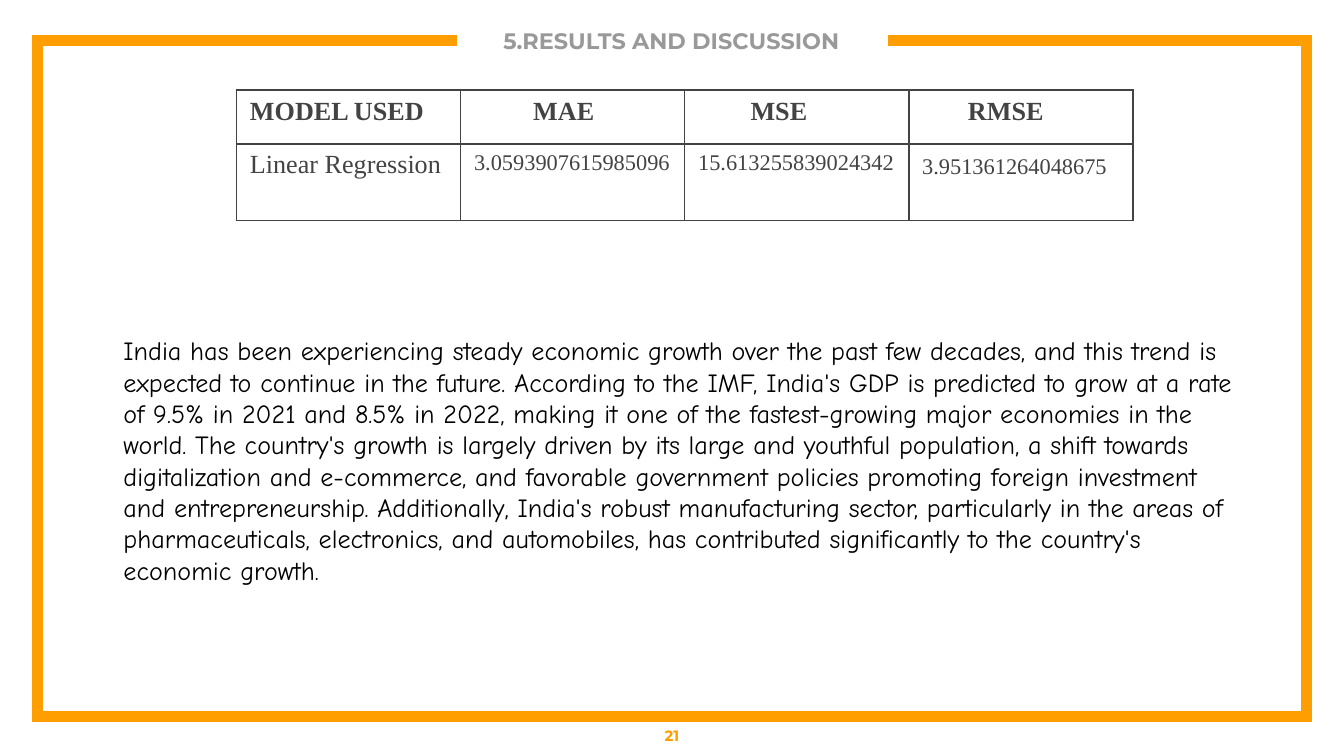
from dataclasses import dataclass

from lxml.etree import SubElement
from pptx import Presentation
from pptx.dml.color import RGBColor
from pptx.enum.text import MSO_ANCHOR, PP_ALIGN
from pptx.oxml.ns import qn
from pptx.util import Inches, Pt


@dataclass(frozen=True)
class Theme:
    orange: str = "FF9E00"
    grey: str = "999999"
    dark: str = "434343"
    black: str = "000000"
    white: str = "FFFFFF"
    heading_font: str = "Montserrat"
    body_font: str = "Comic Neue"
    table_font: str = "Times New Roman"
    number_size: int = 8
    small_size: int = 12
    body_size: int = 14
    frame_width: int = 6
    border_width: int = 1


T = Theme()


@dataclass(frozen=True)
class Style:
    font: str
    size: int
    color: str
    bold: bool = False


@dataclass(frozen=True)
class TextBox:
    text: str
    left: float
    top: float
    width: float
    height: float
    style: Style
    inset: tuple[float, float] = (0.1, 0.05)
    align: PP_ALIGN = PP_ALIGN.LEFT
    anchor: MSO_ANCHOR = MSO_ANCHOR.TOP


@dataclass(frozen=True)
class TableCell:
    text: str
    style: Style
    indent: float = 0.1
    top: float = 0.05


HEADER = Style(T.table_font, T.body_size, T.dark, True)
LABEL = Style(T.table_font, T.body_size, T.dark)
VALUE = Style(T.table_font, T.small_size, T.dark)

ROWS = [
    [
        TableCell("MODEL USED", HEADER),
        TableCell("MAE", HEADER, indent=0.54),
        TableCell("MSE", HEADER, indent=0.49),
        TableCell("RMSE", HEADER, indent=0.44),
    ],
    [
        TableCell("Linear Regression", LABEL),
        TableCell("3.0593907615985096", VALUE),
        TableCell("15.613255839024342", VALUE),
        TableCell("3.951361264048675", VALUE, top=0.08),
    ],
]
ROW_HEIGHTS = [0.4, 0.57]

TEXT_BOXES = [
    TextBox("21", 0, 5.32, 10, 0.3,
            Style(T.heading_font, T.number_size, T.orange, True),
            (0.1, 0.1), PP_ALIGN.CENTER, MSO_ANCHOR.MIDDLE),
    TextBox("5.RESULTS AND DISCUSSION", 3.54, 0.11, 2.91, 0.39,
            Style(T.heading_font, T.small_size, T.grey, True),
            (0, 0), PP_ALIGN.CENTER, MSO_ANCHOR.MIDDLE),
    TextBox(
        "India has been experiencing steady economic growth over the past few "
        "decades, and this trend is expected to continue in the future. "
        "According to the IMF, India's GDP is predicted to grow at a rate of "
        "9.5% in 2021 and 8.5% in 2022, making it one of the fastest-growing "
        "major economies in the world. The country's growth is largely driven "
        "by its large and youthful population, a shift towards digitalization "
        "and e-commerce, and favorable government policies promoting foreign "
        "investment and entrepreneurship. Additionally, India's robust "
        "manufacturing sector, particularly in the areas of pharmaceuticals, "
        "electronics, and automobiles, has contributed significantly to the "
        "country's economic growth.",
        0.82, 2.44, 8.55, 2.48, Style(T.body_font, T.body_size, T.black)),
]


def add_run(p, text: str, style: Style) -> None:
    r = p.add_run()
    r.text = text
    r.font.name = style.font
    r.font.size = Pt(style.size)
    r.font.bold = style.bold
    r.font.color.rgb = RGBColor.from_string(style.color)


def add_text(s, box: TextBox) -> None:
    sp = s.shapes.add_textbox(Inches(box.left), Inches(box.top),
                              Inches(box.width), Inches(box.height))
    tf = sp.text_frame
    tf.word_wrap = True
    tf.vertical_anchor = box.anchor
    tf.margin_left = tf.margin_right = Inches(box.inset[0])
    tf.margin_top = tf.margin_bottom = Inches(box.inset[1])
    p = tf.paragraphs[0]
    p.alignment = box.align
    add_run(p, box.text, box.style)


def add_frame(s) -> None:
    """Draw the border, open at the top where the title sits."""
    left, top, right, bottom = 0.28, 0.3, 9.72, 5.33
    points = [(left, top), (left, bottom), (right, bottom), (right, top), (6.61, top)]
    builder = s.shapes.build_freeform(Inches(3.4), Inches(top))
    builder.add_line_segments([(Inches(x), Inches(y)) for x, y in points], close=False)
    sp = builder.convert_to_shape()
    sp.shadow.inherit = False
    sp.fill.background()
    sp.line.width = Pt(T.frame_width)
    sp.line.color.rgb = RGBColor.from_string(T.orange)
    SubElement(sp.line._get_or_add_ln(), qn("a:miter"), lim="800000")


def set_borders(cell) -> None:
    tc_pr = cell._tc.get_or_add_tcPr()
    for side in ("lnL", "lnR", "lnT", "lnB"):
        ln = SubElement(tc_pr, qn(f"a:{side}"), w=str(Pt(T.border_width)))
        fill = SubElement(ln, qn("a:solidFill"))
        SubElement(fill, qn("a:srgbClr"), val=T.dark)


def add_results_table(s, rows: list[list[TableCell]]) -> None:
    table = s.shapes.add_table(len(rows), len(rows[0]), Inches(1.76), Inches(0.67),
                               Inches(6.67), Inches(sum(ROW_HEIGHTS))).table
    table.first_row = table.horz_banding = False
    for i, (row, height) in enumerate(zip(rows, ROW_HEIGHTS)):
        table.rows[i].height = Inches(height)
        for j, item in enumerate(row):
            cell = table.cell(i, j)
            cell.margin_left = Inches(item.indent)
            cell.margin_right = Inches(0.05)
            cell.margin_top = Inches(item.top)
            set_borders(cell)
            cell.fill.solid()
            cell.fill.fore_color.rgb = RGBColor.from_string(T.white)
            add_run(cell.text_frame.paragraphs[0], item.text, item.style)


def main() -> None:
    # Widescreen 16:9 page
    prs = Presentation()
    prs.slide_width = Inches(10)
    prs.slide_height = prs.slide_width * 9 // 16
    s = prs.slides.add_slide(prs.slide_layouts[6])

    # Frame, page number, title and body text
    add_frame(s)
    for box in TEXT_BOXES:
        add_text(s, box)

    # Model results
    add_results_table(s, ROWS)

    prs.save("out.pptx")


if __name__ == "__main__":
    main()
